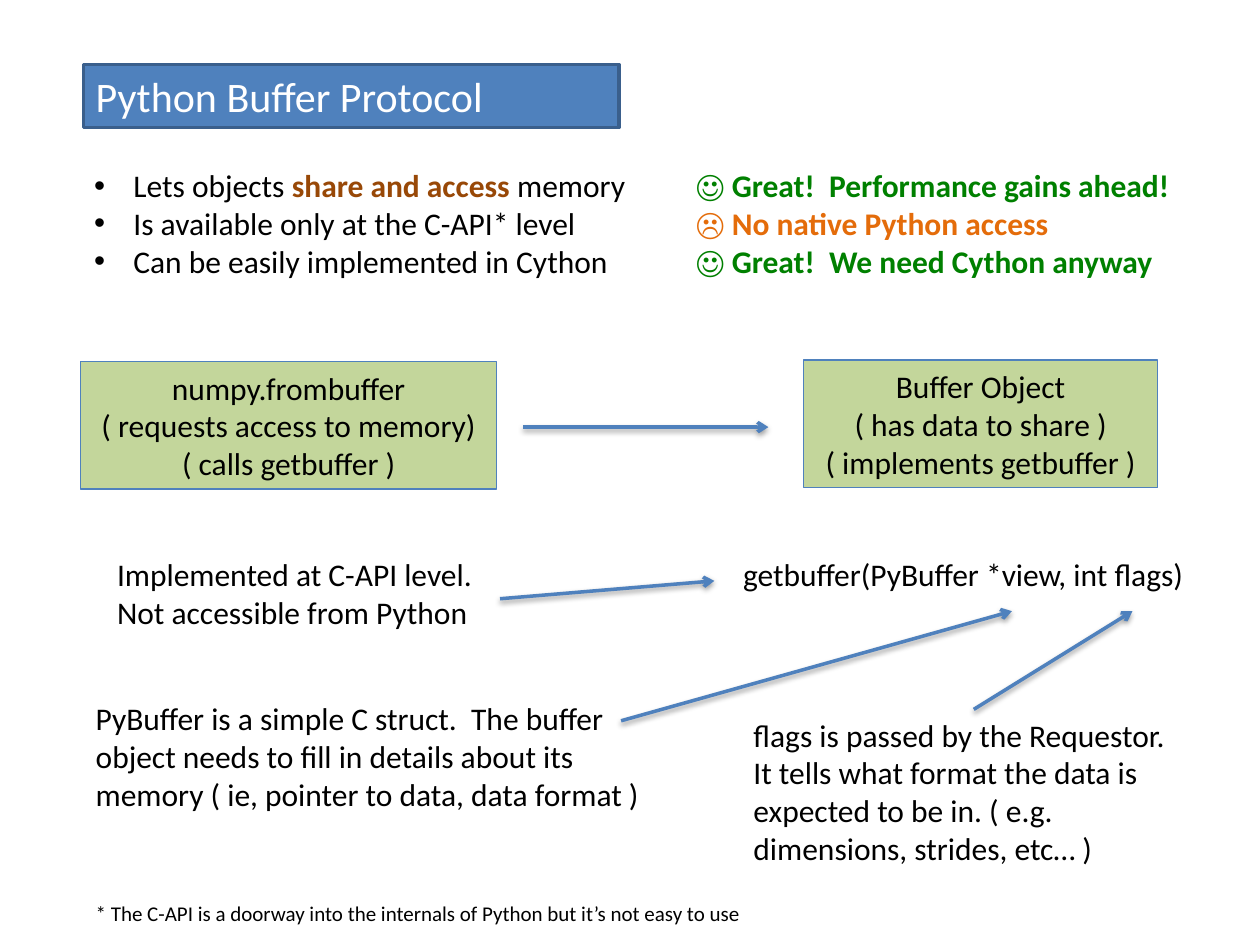
from lxml import etree
from pptx import Presentation
from pptx.dml.color import RGBColor
from pptx.enum.shapes import MSO_CONNECTOR, MSO_SHAPE
from pptx.enum.text import MSO_ANCHOR, MSO_AUTO_SIZE, PP_ALIGN
from pptx.oxml import parse_xml
from pptx.oxml.ns import nsdecls, qn
from pptx.util import Cm, Pt

RECTANGLE = MSO_SHAPE.RECTANGLE
STRAIGHT = MSO_CONNECTOR.STRAIGHT
MIDDLE = MSO_ANCHOR.MIDDLE
GROW = MSO_AUTO_SIZE.SHAPE_TO_FIT_TEXT
LEFT, CENTER = PP_ALIGN.LEFT, PP_ALIGN.CENTER

BLACK, WHITE = "000000", "FFFFFF"
BLUE, DARK_BLUE = "4F81BD", "3A5F8C"
LIGHT_GREEN, GREEN = "C3D69B", "008000"
BROWN, ORANGE = "984807", "E46C0A"

SHADOW = f"""<a:effectLst {nsdecls("a")}>
  <a:outerShdw blurRad="40000" dist="20000" dir="5400000" rotWithShape="0">
    <a:srgbClr val="000000"><a:alpha val="38000"/></a:srgbClr>
  </a:outerShdw>
</a:effectLst>"""


def color(hex_string):
    return RGBColor.from_string(hex_string)


class SlideBuilder:
    font = "Calibri"
    size = 18
    hanging = Cm(0.79)
    remark_tab = Cm(12.13)

    def __init__(self, page):
        self.page = page

    def style_span(self, span, size, hex_string, bold=False):
        span.font.name = self.font
        span.font.size = Pt(size)
        span.font.bold = bold
        span.font.color.rgb = color(hex_string)

    def fill_text(self, box, text, size, hex_string, align):
        frame = box.text_frame
        frame.word_wrap = True
        frame.auto_size = GROW
        frame.text = text
        for para in frame.paragraphs:
            para.alignment = align
            for span in para.runs:
                self.style_span(span, size, hex_string)

    def text(self, left, top, width, height, text, size=size):
        box = self.page.shapes.add_textbox(Cm(left), Cm(top), Cm(width), Cm(height))
        self.fill_text(box, text, size, BLACK, LEFT)
        return box

    def rectangle(self, left, top, width, height, text, fill=LIGHT_GREEN, line=BLUE,
                  line_width=0.75, size=size, text_color=BLACK, align=CENTER):
        box = self.page.shapes.add_shape(
            RECTANGLE, Cm(left), Cm(top), Cm(width), Cm(height))
        box.shadow.inherit = False
        box.fill.solid()
        box.fill.fore_color.rgb = color(fill)
        box.line.color.rgb = color(line)
        box.line.width = Pt(line_width)
        box.text_frame.vertical_anchor = MIDDLE
        self.fill_text(box, text, size, text_color, align)

    def bullets(self, left, top, width, height, rows):
        """Each row is a list of (text, colour, bold) spans."""
        box = self.text(left, top, width, height, "")
        frame = box.text_frame
        for index, row in enumerate(rows):
            para = frame.add_paragraph() if index else frame.paragraphs[0]
            self.add_bullet(para)
            for text, hex_string, bold in row:
                span = para.add_run()
                span.text = text
                self.style_span(span, self.size, hex_string, bold)

    def add_bullet(self, para):
        """Give the paragraph a hanging bullet and a tab stop for its remark."""
        properties = para._p.get_or_add_pPr()
        properties.set("marL", str(self.hanging))
        properties.set("indent", str(-self.hanging))
        etree.SubElement(properties, qn("a:buFont"), typeface="Arial")
        etree.SubElement(properties, qn("a:buChar"), char="•")
        tabs = etree.SubElement(properties, qn("a:tabLst"))
        etree.SubElement(tabs, qn("a:tab"), pos=str(self.remark_tab), algn="l")

    def arrow(self, x1, y1, x2, y2):
        arrow = self.page.shapes.add_connector(
            STRAIGHT, Cm(x1), Cm(y1), Cm(x2), Cm(y2))
        arrow.line.color.rgb = color(BLUE)
        arrow.line.width = Pt(2)
        etree.SubElement(arrow.line._get_or_add_ln(), qn("a:tailEnd"), type="arrow")
        arrow._element.spPr.append(parse_xml(SHADOW))


def main():
    deck = Presentation()
    deck.slide_width, deck.slide_height = Cm(25.4), Cm(19.05)
    slide = SlideBuilder(deck.slides.add_slide(deck.slide_layouts[6]))

    slide.rectangle(1.68, 1.3, 10.8, 1.27, "Python Buffer Protocol", fill=BLUE,
                    line=DARK_BLUE, line_width=2, size=24, text_color=WHITE, align=LEFT)
    slide.bullets(1.65, 3.23, 23.14, 3.33, [
        [("Lets objects ", BLACK, False), ("share and access", BROWN, True),
         (" memory\t", BLACK, False),
         ("☺ Great!  Performance gains ahead!", GREEN, True)],
        [("Is available only at the C-API* level\t", BLACK, False),
         ("☹ ", ORANGE, False), ("No native Python access", ORANGE, True)],
        [("Can be easily implemented in Cython\t", BLACK, False),
         ("☺ Great!  We need Cython anyway", GREEN, True)],
    ])

    slide.rectangle(1.63, 7.29, 8.38, 2.57,
                    "numpy.frombuffer\n( requests access to memory)\n( calls getbuffer )")
    slide.rectangle(16.2, 7.26, 7.14, 2.57,
                    "Buffer Object\n( has data to share )\n( implements getbuffer )")
    slide.arrow(10.54, 8.61, 15.49, 8.61)

    slide.text(2.11, 11.07, 8.89, 1.8,
               "Implemented at C-API level.  Not accessible from Python")
    slide.text(14.73, 11.07, 9.68, 1.02, "getbuffer(PyBuffer *view, int flags)")
    slide.arrow(10.08, 12.07, 14.4, 11.71)

    slide.text(1.68, 13.97, 12.32, 2.57,
               "PyBuffer is a simple C struct.  The buffer object needs to fill in "
               "details about its memory ( ie, pointer to data, data format )")
    slide.arrow(12.52, 14.53, 20.4, 12.32)
    slide.text(14.94, 14.3, 9.45, 3.33,
               "flags is passed by the Requestor.  It tells what format the data is "
               "expected to be in. ( e.g. dimensions, strides, etc… )")
    slide.arrow(19.63, 14.3, 22.83, 12.32)

    slide.text(1.68, 18.03, 21.67, 0.76,
               "* The C-API is a doorway into the internals of Python "
               "but it’s not easy to use", size=12)
    deck.save("out.pptx")


if __name__ == "__main__":
    main()
